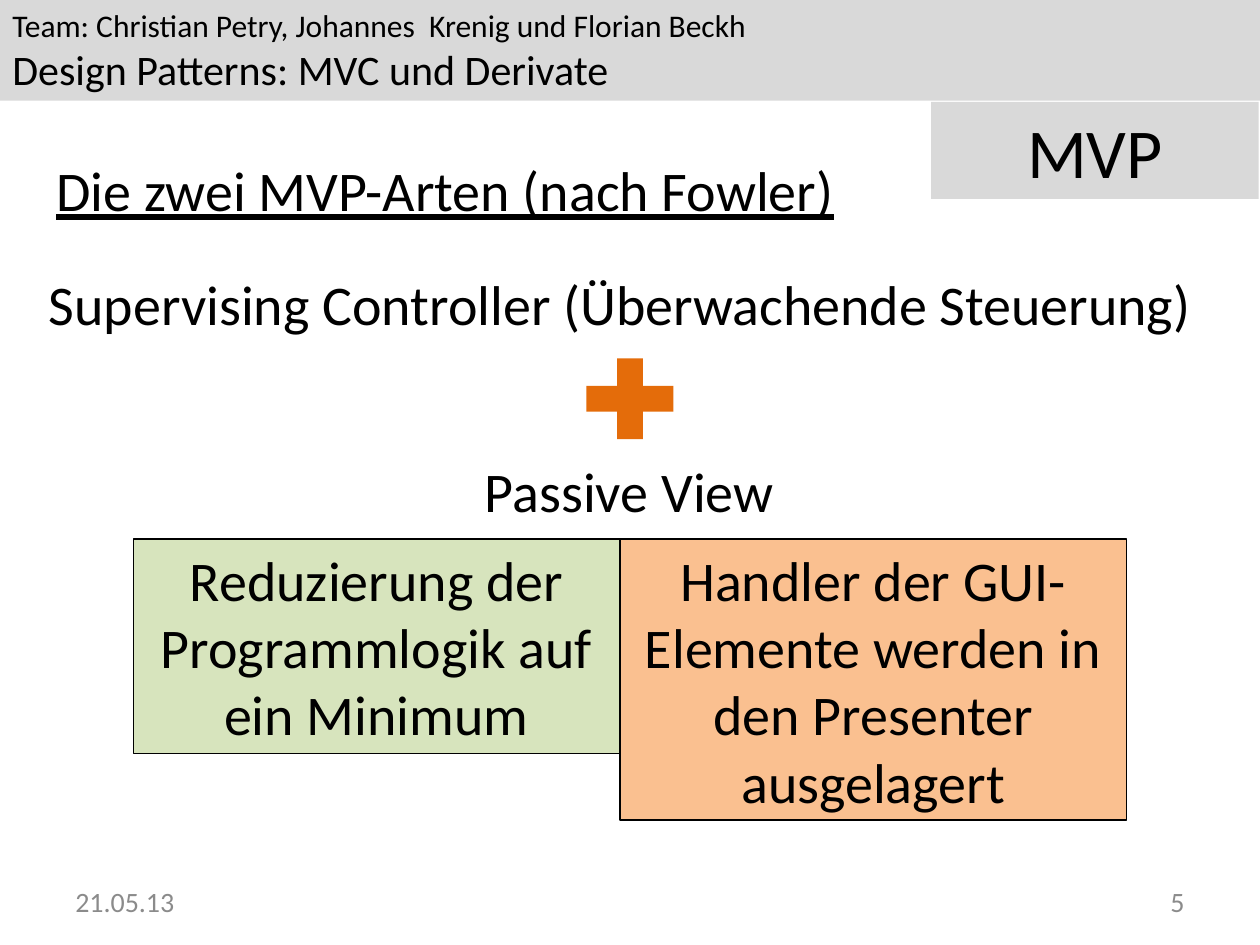
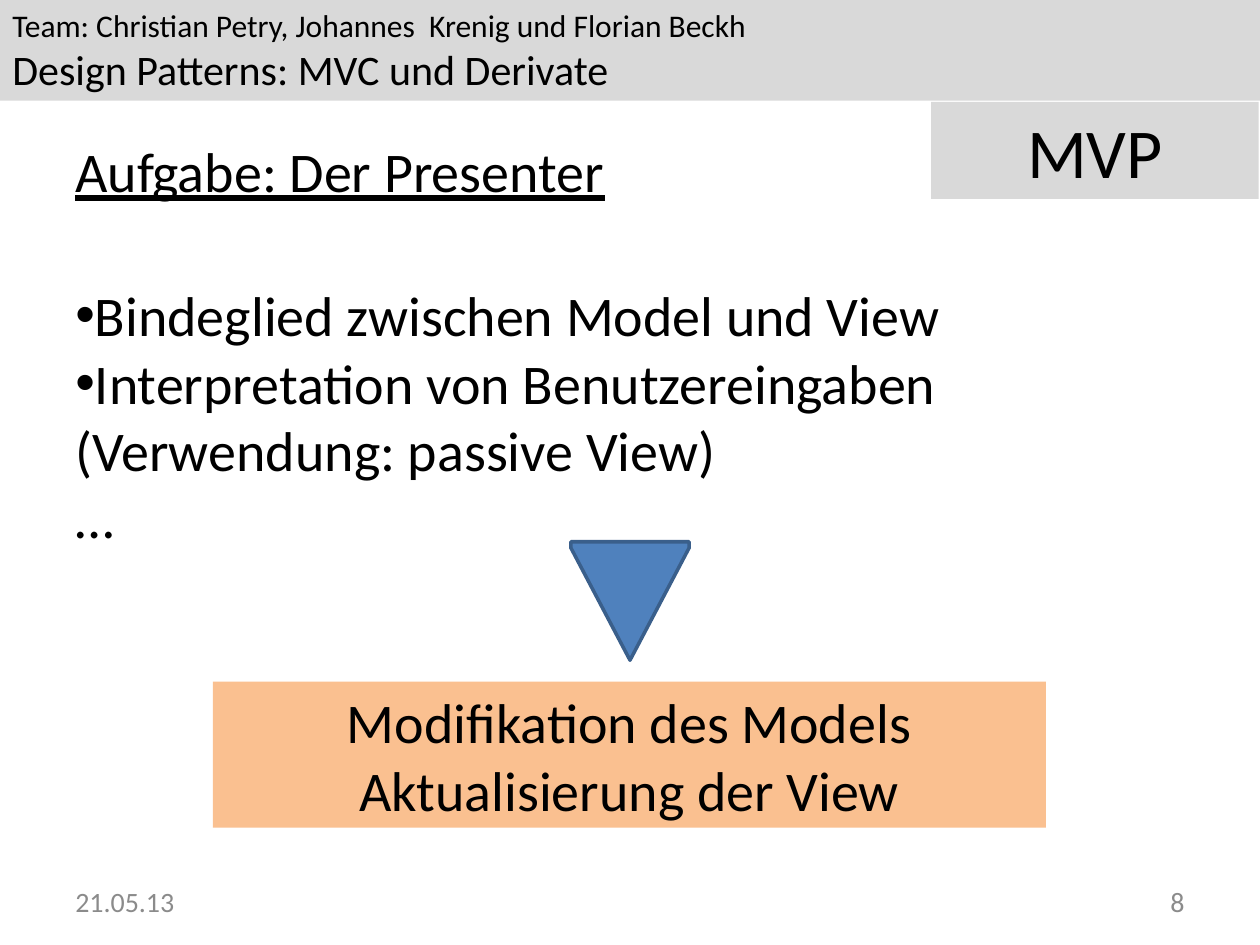
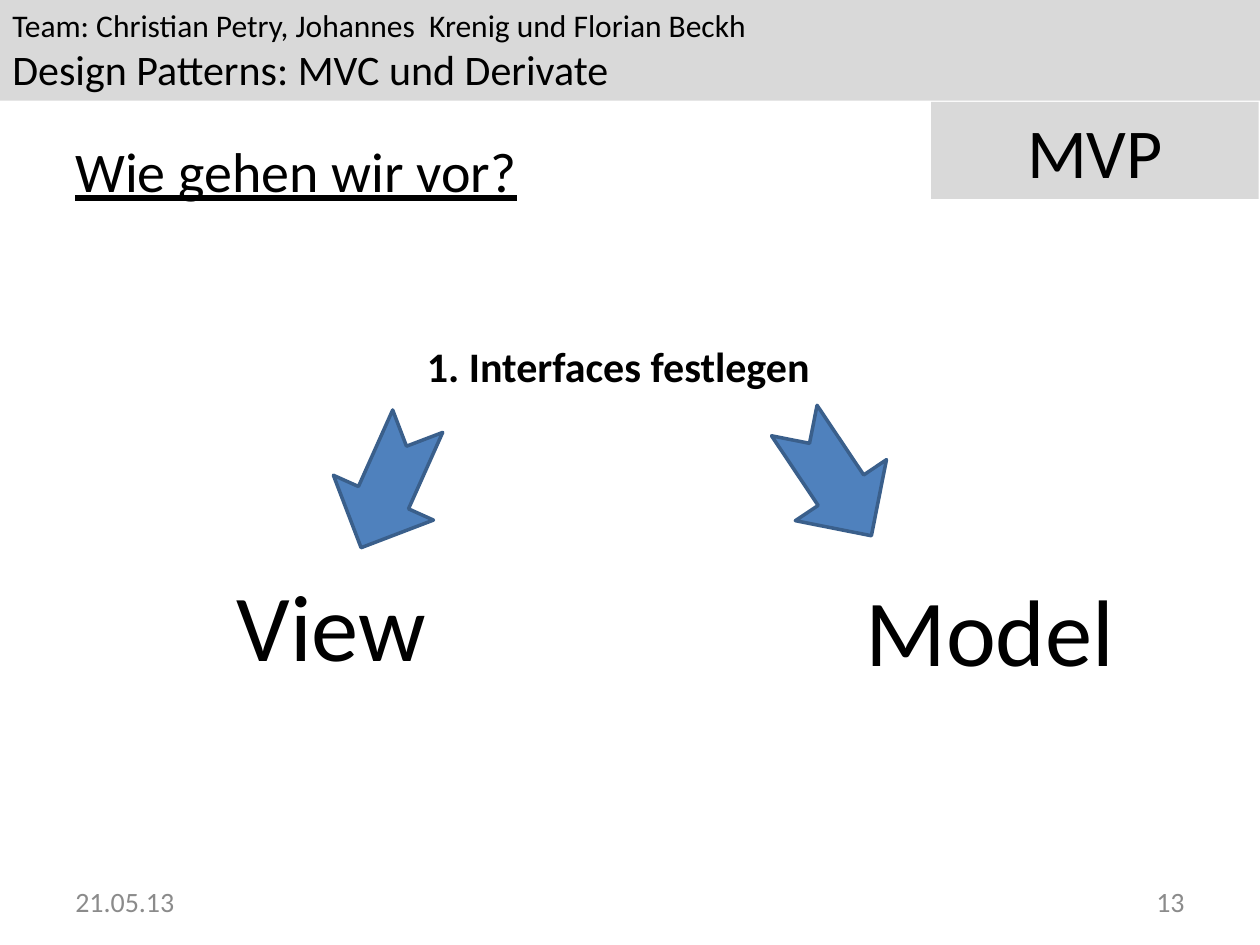
"""Build three slides on the MVP pattern."""
from lxml import etree
from pptx import Presentation
from pptx import util as u
from pptx.dml.color import RGBColor
from pptx.enum import shapes, text
from pptx.oxml import ns

KIND = shapes.MSO_SHAPE
MID = text.PP_ALIGN.CENTER
RIGHT = text.PP_ALIGN.RIGHT


def tint(code):
    """Turn a hex string into a colour."""
    return RGBColor.from_string(code)


def write(shape, lines, size=32, color="000000", font="Calibri", align=text.PP_ALIGN.LEFT,
          anchor=text.MSO_ANCHOR.TOP, bold=False, under=False, wrap=True, marks=0):
    """Fill a shape with lines, the first few of them bulleted; size is one value or one a line."""
    frame = shape.text_frame
    frame.word_wrap = wrap
    frame.vertical_anchor = anchor
    lines = [lines] if isinstance(lines, str) else lines
    sizes = size if isinstance(size, list) else [size] * len(lines)
    for n, (line, points) in enumerate(zip(lines, sizes)):
        para = frame.add_paragraph() if n else frame.paragraphs[0]
        para.alignment = align
        run = para.add_run()
        run.text = line
        run.font.name = font
        run.font.size = u.Pt(points)
        run.font.bold = bold
        run.font.underline = under
        run.font.color.rgb = tint(color)
        if n < marks:
            props = para._p.get_or_add_pPr()
            etree.SubElement(props, ns.qn("a:buFont")).set("typeface", "Arial")
            etree.SubElement(props, ns.qn("a:buChar")).set("char", "•")


class Deck:
    """Hold the style and the current slide."""

    GREY, GREEN, PEACH, ORANGE = "D9D9D9", "D7E4BD", "FAC090", "E46C0A"
    BLUE, NAVY, BLACK, FAINT = "4F81BD", "3A5F8B", "000000", "8B8B8B"
    MARGIN = 0.5

    def __init__(self):
        """Start an empty deck."""
        self.show = Presentation()
        self.show.slide_width = u.Inches(10)
        self.show.slide_height = u.Inches(7.5)

    def shape(self, kind, spot, fill, line=None, width=1, turn=0, adjust=()):
        """Add a flat preset shape."""
        item = self.slide.shapes.add_shape(kind, *map(u.Inches, spot))
        item.shadow.inherit = False
        item.fill.solid()
        item.fill.fore_color.rgb = tint(fill)
        if line:
            item.line.color.rgb = tint(line)
            item.line.width = u.Pt(width)
        else:
            item.line.fill.background()
        item.rotation = turn
        for n, value in enumerate(adjust):
            item.adjustments[n] = value
        return item

    def box(self, spot, fill, lines, line=None, **style):
        """Add a filled box with text."""
        write(self.shape(KIND.RECTANGLE, spot, fill, line), lines, **style)

    def label(self, spot, lines, **style):
        """Add plain text."""
        write(self.slide.shapes.add_textbox(*map(u.Inches, spot)), lines, **style)

    def arrow(self, kind, spot, turn, adjust=()):
        """Add a blue block arrow."""
        self.shape(kind, spot, self.BLUE, self.NAVY, 2, turn, adjust)

    def page(self, title, number, left=MARGIN, top=0.84):
        """Start a slide with its bands, title and footer."""
        self.slide = self.show.slides.add_slide(self.show.slide_layouts[6])
        self.box((0, 0, 10, 0.8), self.GREY,
                 ["Team: Christian Petry, Johannes  Krenig und Florian Beckh",
                  "Design Patterns: MVC und Derivate"], size=[18, 24])
        self.box((7.39, 0.81, 2.6, 0.77), self.GREY, "MVP", size=40, align=MID)
        center = text.MSO_ANCHOR.MIDDLE
        self.label((left, top, 9, 1.02), title, under=True, anchor=center)
        foot = dict(size=16, color=self.FAINT, anchor=center)
        self.label((self.MARGIN, 6.95, 2.33, 0.4), "21.05.13", **foot)
        self.label((7.17, 6.95, 2.33, 0.4), str(number), align=RIGHT, **foot)


def kinds(deck):
    """Show the two kinds of MVP."""
    deck.page("Die zwei MVP-Arten (nach Fowler)", 5, 0.35, 0.99)
    deck.label((1.06, 3.57, 7.87, 0.71), "Passive View", align=MID)
    deck.box((1.06, 4.28, 3.86, 1.7), deck.GREEN,
             "Reduzierung der Programmlogik auf ein Minimum", deck.BLACK, align=MID)
    deck.box((4.92, 4.28, 4.02, 2.23), deck.PEACH,
             "Handler der GUI-Elemente werden in den Presenter ausgelagert",
             deck.BLACK, align=MID)
    deck.label((0.24, 2.09, 9.37, 0.64),
               "Supervising\u00a0Controller (Überwachende Steuerung)", align=MID, wrap=False)
    deck.shape(KIND.MATH_PLUS, (4.53, 2.73, 0.94, 0.87), deck.ORANGE, adjust=[0.235])


def task(deck):
    """Show the task of the presenter."""
    deck.page("Aufgabe: Der Presenter", 8)
    deck.label((deck.MARGIN, 2.18, 9, 2.28),
               ["Bindeglied zwischen Model und View",
                "Interpretation von Benutzereingaben (Verwendung: passive View)",
                "…"], marks=2)
    deck.box((1.69, 5.41, 6.61, 1.16), deck.PEACH,
             ["Modifikation des Models", "Aktualisierung der View"], align=MID)
    deck.arrow(KIND.RIGHT_ARROW, (4.53, 4.3, 0.94, 0.94), 90, [1, 0.95])


def steps(deck):
    """Show the first step."""
    deck.page("Wie gehen wir vor?", 13)
    deck.label((3.29, 2.65, 3.3, 0.5), "1. Interfaces festlegen",
               size=24, bold=True, wrap=False)
    for name, spot in (("Model", (6.77, 4.49, 2.25, 1)), ("View", (1.78, 4.45, 1.75, 1))):
        deck.label(spot, name, size=54, wrap=False)
    for left, top, turn in ((6.06, 3.36, 56.2), (2.54, 3.41, 114.1)):
        deck.arrow(KIND.NOTCHED_RIGHT_ARROW, (left, top, 1.1, 0.87), turn)


deck = Deck()
for build in (kinds, task, steps):
    build(deck)
deck.show.save("out.pptx")
